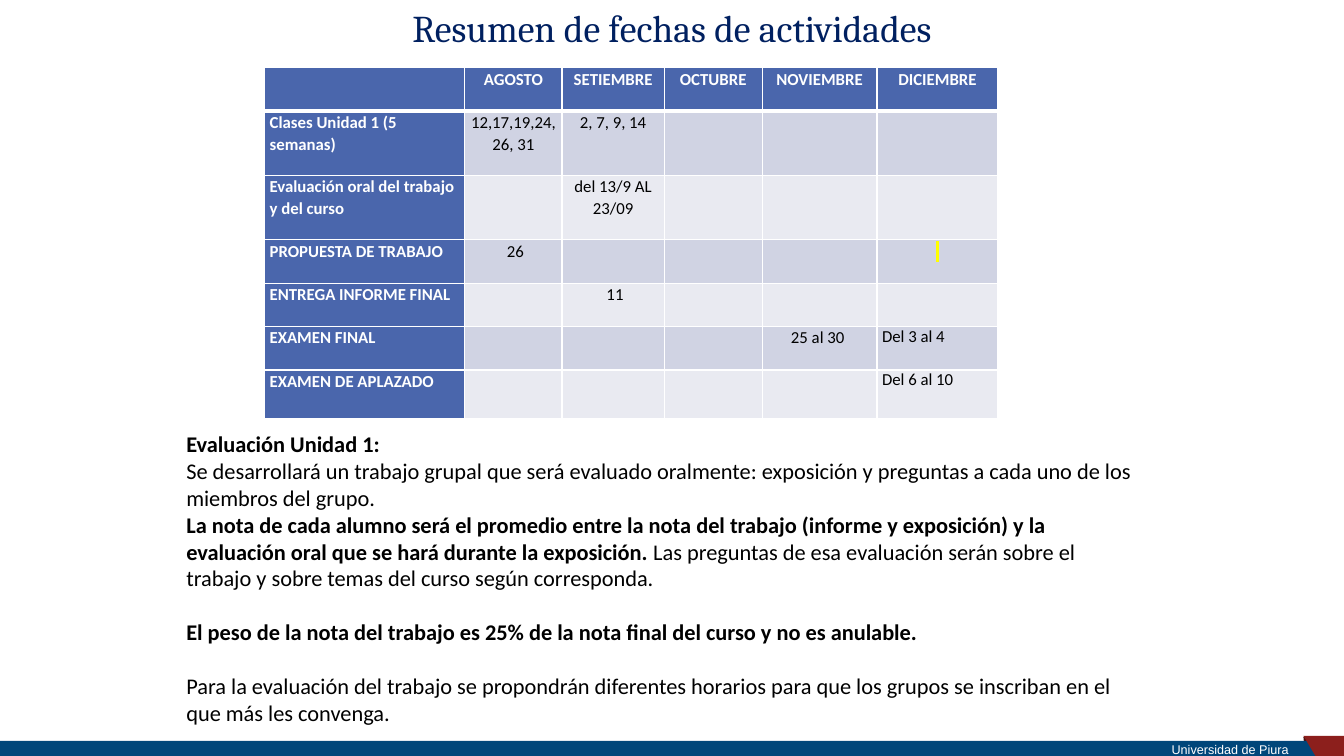
from lxml import etree
from pptx import Presentation
from pptx.dml.color import RGBColor
from pptx.enum import shapes, text
from pptx.oxml import ns
from pptx.util import Pt

COLORS = {"white": "FFFFFF", "black": "000000", "navy": "002060", "header": "4A66AC",
          "band1": "D0D3E3", "band2": "E9EAF1", "bar": "00467A", "red": "8C1F1C",
          "fold": "49100F", "mark": "FFFF00"}
LEFT, CENTER, RIGHT = text.PP_ALIGN.LEFT, text.PP_ALIGN.CENTER, text.PP_ALIGN.RIGHT

prs = Presentation()
prs.slide_width, prs.slide_height = Pt(960), Pt(540)
s = prs.slides.add_slide(prs.slide_layouts[6])


def add_run(p, words, color, **font):
    r = p.add_run()
    r.text = words
    r.font.color.rgb = RGBColor.from_string(COLORS[color])
    for name, value in font.items():
        setattr(r.font, name, value)
    return r


def paint(sp, color):
    sp.shadow.inherit = False
    sp.fill.solid()
    sp.fill.fore_color.rgb = RGBColor.from_string(COLORS[color])
    sp.line.fill.background()


# Footer bar and corner
corner = [("fold", [(931, 526.3), (938.9, 526.3), (931.7, 533.5)]),
          ("red", [(931, 525.6), (960, 525.6), (960, 540), (939.6, 540)])]
for color, points in corner:
    points = [(Pt(x), Pt(y)) for x, y in points]
    outline = s.shapes.build_freeform(*points[0], scale=1.0)
    outline.add_line_segments(points[1:], close=True)
    paint(outline.convert_to_shape(), color)
    if color == "fold":
        bar = s.shapes.add_shape(shapes.MSO_SHAPE.RECTANGLE, 0, Pt(529.2), Pt(960), Pt(10.8))
        paint(bar, "bar")

# Title and footer text
labels = [
    ("Resumen de fechas de actividades", (66, 3.6, 828, 36), CENTER, 0.9, "navy",
     {"name": "Cambria", "size": Pt(27)}, {}),
    ("Universidad de Piura", (480, 528.5, 480, 10.8), RIGHT, 1.2, "white",
     {"name": "Arial", "size": Pt(9)},
     {"margin_top": 0, "margin_bottom": 0, "margin_right": Pt(39.6)}),
]
for words, box, align, spacing, color, font, frame in labels:
    tf = s.shapes.add_textbox(*map(Pt, box)).text_frame
    frame = {"word_wrap": True, "vertical_anchor": text.MSO_ANCHOR.MIDDLE, **frame}
    for name, value in frame.items():
        setattr(tf, name, value)
    p = tf.paragraphs[0]
    p.alignment, p.line_spacing = align, spacing
    add_run(p, words, color, **font)

# Table of dates
rows = [
    ["", "AGOSTO", "SETIEMBRE", "OCTUBRE", "NOVIEMBRE", "DICIEMBRE"],
    ["Clases Unidad 1 (5 semanas)", "12,17,19,24, 26, 31", "2, 7, 9, 14", "", "", ""],
    ["Evaluación oral del trabajo y del curso", "", "del 13/9 AL 23/09", "", "", ""],
    ["PROPUESTA DE TRABAJO", " 26", "", "", "", " "],
    ["ENTREGA INFORME FINAL", "", " 11", "", "", ""],
    ["EXAMEN FINAL", "", "", "", "25 al 30 ", "Del 3 al 4"],
    ["EXAMEN DE APLAZADO", "", "", "", "", "Del 6 al 10"],
]
widths = [143, 69.5, 73, 70, 82, 86.5]
heights = [31, 46, 46, 31, 31, 31, 35]
table = s.shapes.add_table(len(rows), len(widths), Pt(189), Pt(48.4),
                           Pt(sum(widths)), Pt(sum(heights))).table
for column, width in zip(table.columns, widths):
    column.width = Pt(width)
for row, height in zip(table.rows, heights):
    row.height = Pt(height)

margins = {"margin_left": Pt(3.6), "margin_right": Pt(3.6), "margin_top": 0, "margin_bottom": 0}
for i, row in enumerate(rows):
    for j, words in enumerate(row):
        cell = table.cell(i, j)
        for name, value in margins.items():
            setattr(cell, name, value)

        # Borders: thicker line under the header row
        tcPr = cell._tc.get_or_add_tcPr()
        for side in ("lnL", "lnR", "lnT", "lnB"):
            thick = (i == 0 and side == "lnB") or (i == 1 and side == "lnT")
            ln = etree.SubElement(tcPr, ns.qn(f"a:{side}"), w=str(Pt(3 if thick else 1)))
            fill = etree.SubElement(ln, ns.qn("a:solidFill"))
            etree.SubElement(fill, ns.qn("a:srgbClr"), val=COLORS["white"])

        heading = i == 0 or j == 0
        band = "header" if heading else "band1" if i % 2 else "band2"
        cell.fill.solid()
        cell.fill.fore_color.rgb = RGBColor.from_string(COLORS[band])

        p = cell.text_frame.paragraphs[0]
        if not words:
            p.font.size = Pt(12)
            continue
        deadline = words.startswith("Del ")
        p.alignment = LEFT if j == 0 or deadline else CENTER
        p.line_spacing = 1.0 if deadline else 1.07
        r = add_run(p, words, "white" if heading else "black",
                    name="Calibri", size=Pt(12), bold=heading)
        if words == " ":  # yellow mark on a non-breaking space
            highlight = etree.Element(ns.qn("a:highlight"))
            etree.SubElement(highlight, ns.qn("a:srgbClr"), val=COLORS["mark"])
            r.font._element.find(ns.qn("a:solidFill")).addnext(highlight)

# Evaluation notes: space before, then (words, bold) runs
notes = [
    (0, [("Evaluación Unidad 1:", True)]),
    (0, [("Se desarrollará un trabajo grupal que será evaluado oralmente: exposición y "
          "preguntas a cada uno de los miembros del grupo.", False)]),
    (0, [("La nota de cada alumno será el promedio entre la nota del trabajo (informe y "
          "exposición) y la evaluación oral que se hará durante la exposición. ", True),
         ("Las preguntas de esa evaluación serán sobre el trabajo y sobre temas del curso "
          "según corresponda.", False)]),
    (19.3, [("El peso de la nota del trabajo es 25% de la nota final del curso y no es "
             "anulable.", True)]),
    (19.3, [("Para la evaluación del trabajo se propondrán diferentes horarios para que los "
             "grupos se inscriban en el que más les convenga.", False)]),
]
tf = s.shapes.add_textbox(Pt(126), Pt(303.8), Pt(691), Pt(239.8)).text_frame
tf.word_wrap = True
for i, (gap, runs) in enumerate(notes):
    p = tf.add_paragraph() if i else tf.paragraphs[0]
    if gap:
        p.space_before = Pt(gap)
    for words, bold in runs:
        add_run(p, words, "black", name="Calibri", size=Pt(16), bold=bold)

prs.save("out.pptx")
